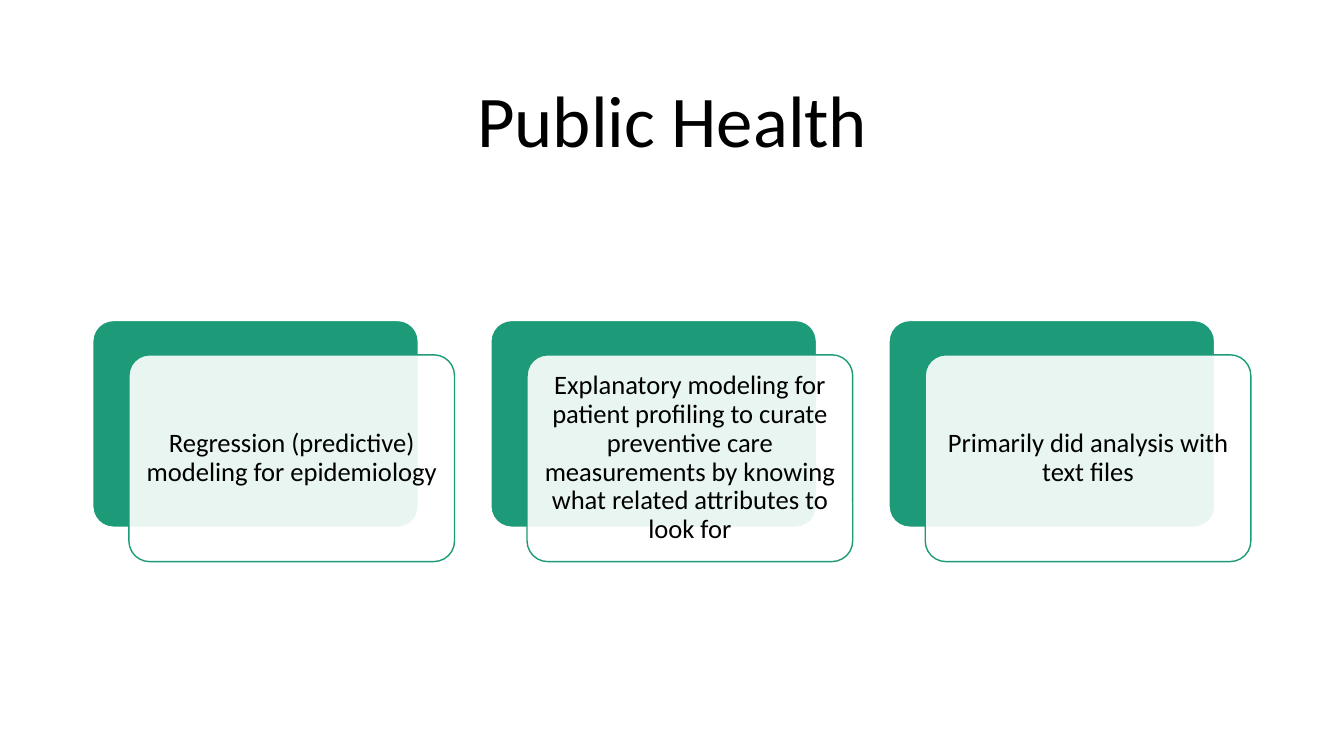
"""Build the Public Health slide with three layered topic cards."""
from dataclasses import dataclass

from lxml import etree
from pptx import Presentation
from pptx import util as u
from pptx.dml.color import RGBColor
from pptx.enum import shapes, text
from pptx.oxml.ns import qn
from pptx.shapes.autoshape import Shape
from pptx.slide import Slide
from pptx.text.text import TextFrame

COLORS = {"green": "1D9A78", "white": "FFFFFF", "black": "000000"}
FONT = "Calibri"
CARD_LEFT, CARD_TOP = 66.24, 228.9
CARD_WIDTH, CARD_HEIGHT = 232.6, 147.7
CARD_STEP = 284.4
FRONT_SHIFT_X, FRONT_SHIFT_Y = 25.85, 24.55


@dataclass(frozen=True)
class Panel:
    left: float
    top: float
    fill: str
    line: str
    opacity: int = 100
    label: str = ""


def write_text(frame: TextFrame, content: str, size: float, inset_x: float, inset_y: float) -> None:
    frame.text = content
    frame.word_wrap = True
    frame.vertical_anchor = text.MSO_ANCHOR.MIDDLE
    frame.margin_left = frame.margin_right = u.Pt(inset_x)
    frame.margin_top = frame.margin_bottom = u.Pt(inset_y)
    paragraph = frame.paragraphs[0]
    paragraph.alignment = text.PP_ALIGN.CENTER
    paragraph.line_spacing = 0.9
    font = paragraph.runs[0].font
    font.name = FONT
    font.size = u.Pt(size)
    font.color.rgb = RGBColor.from_string(COLORS["black"])


def set_opacity(shape: Shape, percent: int) -> None:
    color = shape.fill._xPr.find(qn("a:solidFill")).find(qn("a:srgbClr"))
    etree.SubElement(color, qn("a:alpha")).set("val", str(percent * 1000))


def draw_panel(slide: Slide, panel: Panel) -> None:
    shape = slide.shapes.add_shape(
        shapes.MSO_SHAPE.ROUNDED_RECTANGLE,
        u.Pt(panel.left), u.Pt(panel.top), u.Pt(CARD_WIDTH), u.Pt(CARD_HEIGHT),
    )
    shape.adjustments[0] = 0.1
    shape.shadow.inherit = False
    shape.fill.solid()
    shape.fill.fore_color.rgb = RGBColor.from_string(COLORS[panel.fill])
    shape.line.color.rgb = RGBColor.from_string(COLORS[panel.line])
    shape.line.width = u.Pt(1)
    if panel.opacity < 100:
        set_opacity(shape, panel.opacity)
    if panel.label:
        write_text(shape.text_frame, panel.label, 19, 5.76, 5.76)


def draw_card(slide: Slide, index: int, label: str) -> None:
    left = CARD_LEFT + index * CARD_STEP
    draw_panel(slide, Panel(left, CARD_TOP, "green", "white"))
    draw_panel(slide, Panel(left + FRONT_SHIFT_X, CARD_TOP + FRONT_SHIFT_Y, "white", "green", 90, label))


def main() -> None:
    presentation = Presentation()
    presentation.slide_width, presentation.slide_height = u.Pt(960), u.Pt(540)
    slide = presentation.slides.add_slide(presentation.slide_layouts[6])
    title = slide.shapes.add_textbox(u.Pt(66.24), u.Pt(43.9), u.Pt(828), u.Pt(89.3))
    write_text(title.text_frame, "Public Health", 52, 7.2, 3.6)
    topics = (
        "Regression (predictive) modeling for epidemiology",
        "Explanatory modeling for patient profiling to curate preventive care "
        "measurements by knowing what related attributes to look for",
        "Primarily did analysis with text files",
    )
    for index, topic in enumerate(topics):
        draw_card(slide, index, topic)
    presentation.save("out.pptx")


if __name__ == "__main__":
    main()
